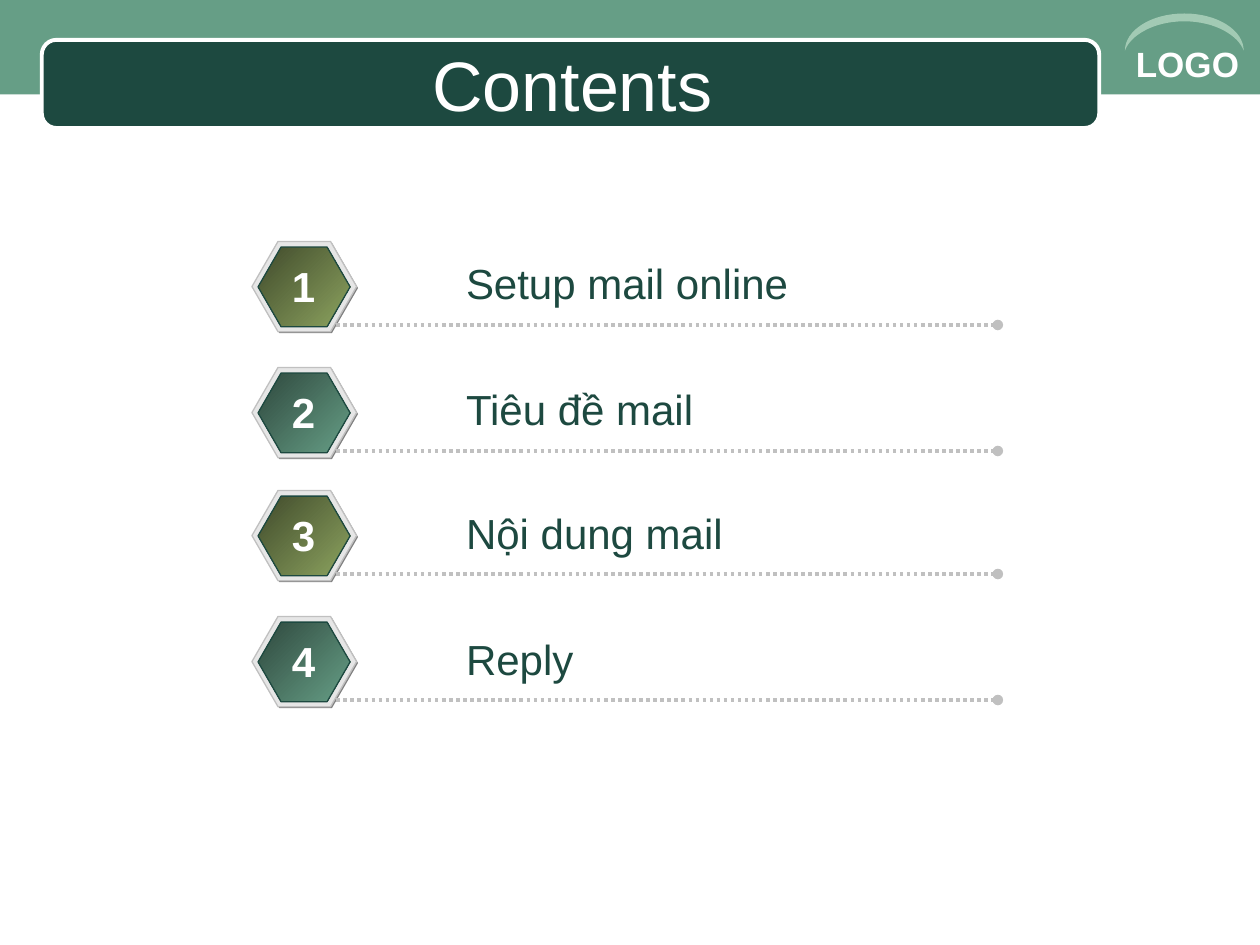
import dataclasses

import pptx
import pptx.dml.color
import pptx.enum.dml
import pptx.enum.shapes
import pptx.enum.text
import pptx.oxml
import pptx.oxml.ns
import pptx.util

Pt = pptx.util.Pt
SHAPE = pptx.enum.shapes.MSO_SHAPE
ALIGN = pptx.enum.text.PP_ALIGN
ANCHOR = pptx.enum.text.MSO_ANCHOR


@dataclasses.dataclass(frozen=True)
class Theme:
    """Colours, font and type sizes of the slide."""
    font: str = "Arial"
    band: str = "669E86"
    dark: str = "1D4940"
    arc: str = "A2CAB4"
    white: str = "FFFFFF"
    shade: str = "808080"
    rim: str = "E6E6E6"
    rule: str = "C0C0C0"
    olive: tuple = ("414B2C", "8CA35F")
    green: tuple = ("2F493E", "669E86")
    title: int = 40
    item: int = 24
    logo: int = 20


T = Theme()


def rgb(value):
    """Turn a hex string into a colour."""
    return pptx.dml.color.RGBColor.from_string(value)


def write(sp, text, size, color, bold=False, align=ALIGN.LEFT, anchor=ANCHOR.TOP, wrap=False):
    """Put one formatted line of text into a shape."""
    tf = sp.text_frame
    tf.word_wrap = wrap
    tf.vertical_anchor = anchor
    tf.margin_left = tf.margin_right = Pt(7.2)
    tf.margin_top = tf.margin_bottom = Pt(3.6)
    p = tf.paragraphs[0]
    p.alignment = align
    r = p.add_run()
    r.text = text
    r.font.name, r.font.size, r.font.bold = T.font, Pt(size), bold
    r.font.color.rgb = rgb(color)


def paint(sp, fill, line=None, width=0.75):
    """Give a shape a plain or gradient fill and an optional outline."""
    sp.shadow.inherit = False
    if isinstance(fill, tuple):
        sp.fill.gradient()
        sp.fill.gradient_angle = 315
        for stop, color in zip(sp.fill.gradient_stops, fill):
            stop.color.rgb = rgb(color)
    else:
        sp.fill.solid()
        sp.fill.fore_color.rgb = rgb(fill)
    if line:
        sp.line.color.rgb = rgb(line)
        sp.line.width = Pt(width)
    else:
        sp.line.fill.background()


def add_box(shapes, kind, box, fill, line=None, width=0.75):
    """Add a painted preset shape in a box."""
    sp = shapes.add_shape(kind, *map(Pt, box))
    paint(sp, fill, line, width)
    return sp


def add_label(s, box, text, size, color, **form):
    """Add a text box holding one line."""
    sp = s.shapes.add_textbox(*map(Pt, box))
    write(sp, text, size, color, **form)


def curve(a, b, c, d, steps=16):
    """Sample a cubic curve after its start point."""
    points = []
    for i in range(1, steps + 1):
        t = i / steps
        weights = ((1 - t) ** 3, 3 * t * (1 - t) ** 2, 3 * t * t * (1 - t), t ** 3)
        points.append(tuple(sum(w * q[k] for w, q in zip(weights, (a, b, c, d))) for k in (0, 1)))
    return points


def add_arc(s, box):
    """Draw a crescent that fills the box."""
    x, y, w, h = box
    inner = curve((1, 1), (0.96, 0.62), (0.77, 0.21), (0.5, 0.21))
    outer = curve((0, 1), (0, 0.45), (0.22, 0), (0.5, 0))
    inner += [(1 - u, v) for u, v in reversed(inner[:-1])] + [(0, 1)]
    outer += [(1 - u, v) for u, v in reversed(outer[:-1])]
    points = [(Pt(x + u * w), Pt(y + v * h)) for u, v in inner + outer]
    fb = s.shapes.build_freeform(Pt(x + w), Pt(y + h))
    fb.add_line_segments(points, close=True)
    paint(fb.convert_to_shape(), T.arc)


def add_header(s, box):
    """Build the top band, the title bar and the corner mark."""
    x, y, w, h = box
    add_box(s.shapes, SHAPE.RECTANGLE, box, T.band)
    bar = add_box(s.shapes, SHAPE.ROUNDED_RECTANGLE, (x + 23.9, y + 22.8, 604.3, 50.4),
                  T.dark, T.white, 2.25)
    title = s.shapes.title
    title.left, title.top, title.width, title.height = map(Pt, (x + 36, y + 25.2, 582, 45))
    write(title, "Contents", T.title, T.white, align=ALIGN.CENTER, anchor=ANCHOR.MIDDLE, wrap=True)
    bar.element.addnext(title.element)
    add_label(s, (x + w - 78, y + 21, 78, 32), "LOGO", T.logo, T.white, bold=True, wrap=True)
    add_arc(s, (x + w - 77.2, y + 7.7, 67.9, 21.3))


def add_badge(s, box, fill):
    """Group the shaded, rimmed hexagon of one row."""
    x, y, w, h = box
    group = s.shapes.add_group_shape()
    layers = (((x + 0.8, y + 0.8, w, h), T.shade, None),
              (box, T.rim, T.rule),
              ((x + 3.5, y + 3.2, w - 7.2, h - 6.1), fill, T.dark))
    for place, color, line in layers:
        sp = add_box(group.shapes, SHAPE.HEXAGON, place, color, line)
        sp.adjustments[0] = 0.289


def add_rule(s, x1, x2, y):
    """Draw a dotted rule with a round end."""
    cn = s.shapes.add_connector(pptx.enum.shapes.MSO_CONNECTOR.STRAIGHT, Pt(x1), Pt(y), Pt(x2), Pt(y))
    cn.line.color.rgb = rgb(T.rule)
    cn.line.width = Pt(2)
    cn.line.dash_style = pptx.enum.dml.MSO_LINE.ROUND_DOT
    ns = pptx.oxml.ns.nsdecls("a")
    cn.line._get_or_add_ln().append(pptx.oxml.parse_xml(f'<a:tailEnd {ns} type="oval"/>'))
    cn.element.spPr.append(pptx.oxml.parse_xml(f"<a:effectLst {ns}/>"))


def add_item(s, box, number, text, fill):
    """Build one contents row: badge, rule, label and number."""
    x, y, w, h = box
    add_badge(s, (x, y, 59.8, h), fill)
    add_rule(s, x + 48.2, x + w, y + 47.7)
    add_label(s, (x + 115.2, y + 5.9, w - 115.2, 36), text, T.item, T.dark)
    add_label(s, (x + 15.7, y + 7.3, 27.4, 36), str(number), T.item, T.white,
              bold=True, align=ALIGN.CENTER)


def add_contents(s, box, items):
    """Stack the rows in pairs, alternating the two badge colours."""
    x, y, w, h = box
    for i, text in enumerate(items):
        pair, second = divmod(i, 2)
        top = y + pair * 142.3 + second * 72
        add_item(s, (x, top, w, h), i + 1, text, T.green if second else T.olive)


def main():
    """Build and save the slide."""
    prs = pptx.Presentation()
    prs.slide_width, prs.slide_height = Pt(720), Pt(540)
    s = prs.slides.add_slide(prs.slide_layouts[5])
    add_header(s, (0, 0, 720, 54))
    add_contents(s, (144, 138, 426.2, 51.6),
                 ("Setup mail online", "Tiêu đề mail", "Nội dung mail", "Reply"))
    prs.save("out.pptx")


if __name__ == "__main__":
    main()
